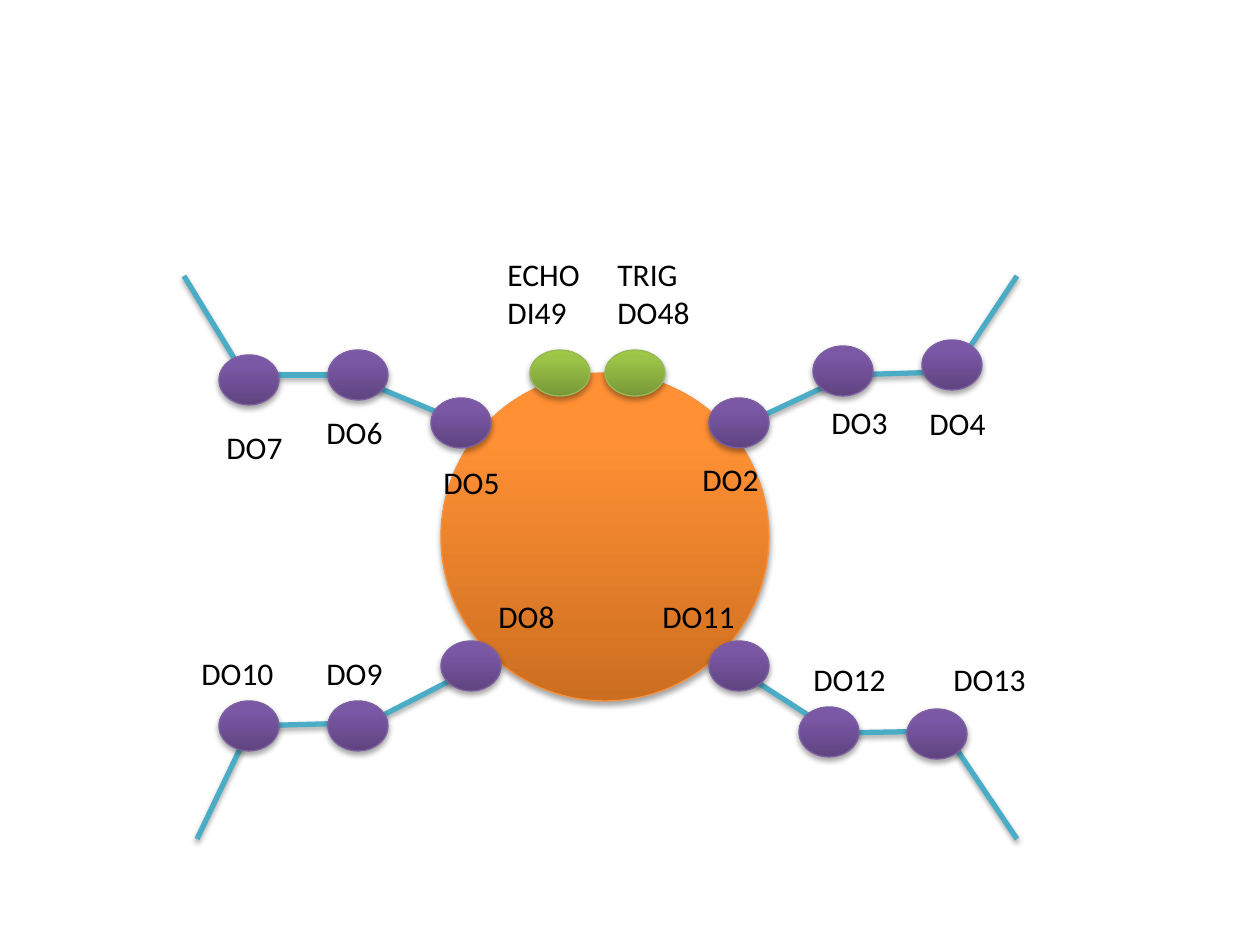
from copy import deepcopy
from lxml.etree import SubElement as Sub
from pptx import Presentation
from pptx.dml.color import RGBColor as Color
from pptx.enum.shapes import MSO_CONNECTOR as Link, MSO_SHAPE as Shape
from pptx.enum.text import MSO_AUTO_SIZE as Fit
from pptx.oxml.ns import qn
from pptx.util import Pt

SCALE = 914400 / 126
BLACK = Color(0, 0, 0)
TEAL = Color(0x4B, 0xAC, 0xC6)
ORANGE = (Color(0xCC, 0x6E, 0x20), Color(0xFF, 0x90, 0x34),
          Color(0xFF, 0x91, 0x36), Color(0xF6, 0x92, 0x40))
PURPLE = (Color(0x5F, 0x44, 0x80), Color(0x7B, 0x58, 0xA6),
          Color(0x7C, 0x57, 0xA8), Color(0x7D, 0x60, 0xA0))
GREEN = (Color(0x77, 0x97, 0x37), Color(0x9B, 0xC3, 0x48),
         Color(0x9D, 0xC7, 0x46), Color(0x98, 0xB9, 0x55))
STOPS = (0, 0.8, 1)
FONT = {"name": "Calibri", "size": Pt(18)}
FRAME = {"word_wrap": True, "auto_size": Fit.SHAPE_TO_FIT_TEXT}
SHADE = {"blurRad": "40000", "dist": "23000", "dir": "5400000",
         "rotWithShape": "0"}

BODY = (441, 373, 328, 328)
LEGS = [
    (461, 422, 362, 381), (341, 375, 272, 375), (248, 381, 184, 276),
    (847, 375, 945, 372), (956, 368, 1017, 276), (743, 425, 837, 381),
    (471, 670, 362, 726), (358, 723, 248, 726), (251, 726, 197, 839),
    (743, 673, 828, 728), (945, 731, 837, 733), (945, 732, 1017, 839),
]
JOINTS = [
    ("DO5", (431, 398), (431, 457), 89),
    ("DO8", (441, 641), (486, 591), 89),
    ("DO11", (709, 641), (650, 591), 118),
    ("DO2", (709, 398), (690, 454), 89),
    ("DO6", (328, 350), (314, 407), 89),
    ("DO7", (219, 355), (214, 422), 89),
    ("DO3", (813, 346), (819, 397), 89),
    ("DO4", (922, 340), (917, 398), 89),
    ("DO9", (328, 701), (314, 648), 89),
    ("DO10", (219, 701), (189, 648), 115),
    ("DO12", (799, 707), (801, 654), 106),
    ("DO13", (907, 709), (941, 654), 106),
]
EYES = [("ECHO DI49", 530, 495), ("TRIG DO48", 605, 605)]


def emu(*sizes):
    return [round(size * SCALE) for size in sizes]


def style(item, look):
    for key, value in look.items():
        setattr(item, key, value)


def shade(item):
    props = item._element.spPr
    for old in props.findall(qn("a:effectLst")):
        props.remove(old)
    drop = Sub(Sub(props, qn("a:effectLst")), qn("a:outerShdw"), SHADE)
    tint = Sub(drop, qn("a:srgbClr"), val="000000")
    Sub(tint, qn("a:alpha"), val="35000")


def ball(shapes, box, tones):
    item = shapes.add_shape(Shape.OVAL, *emu(*box))
    fill = item.fill
    fill.gradient()
    fill.gradient_angle = 90
    stops = item._element.spPr.find(".//" + qn("a:gsLst"))
    stops.append(deepcopy(stops[0]))
    for stop, place, tone in zip(fill.gradient_stops, STOPS, tones):
        stop.position = place
        stop.color.rgb = tone
    item.line.color.rgb = tones[-1]
    item.line.width = Pt(0.75)
    shade(item)


def leg(shapes, ends):
    item = shapes.add_connector(Link.STRAIGHT, *emu(*ends))
    item.line.color.rgb = TEAL
    item.line.width = Pt(3)
    shade(item)


def label(shapes, text, box):
    frame = shapes.add_textbox(*emu(*box)).text_frame
    style(frame, FRAME)
    run = frame.paragraphs[0].add_run()
    run.text = text
    style(run.font, FONT)
    run.font.color.rgb = BLACK


def main():
    deck = Presentation()
    deck.slide_width, deck.slide_height = emu(1260, 945)
    slide = deck.slides.add_slide(deck.slide_layouts[6])
    shapes = slide.shapes.add_group_shape().shapes
    ball(shapes, BODY, ORANGE)
    for ends in LEGS:
        leg(shapes, ends)
    for _, spot, _, _ in JOINTS:
        ball(shapes, (*spot, 60, 50), PURPLE)
    for _, left, _ in EYES:
        ball(shapes, (left, 350, 60, 46), GREEN)
    for text, _, spot, width in JOINTS:
        label(shapes, text, (*spot, width, 50))
    for text, _, left in EYES:
        label(shapes, text, (left, 249, 110, 89))
    deck.save("out.pptx")


main()
